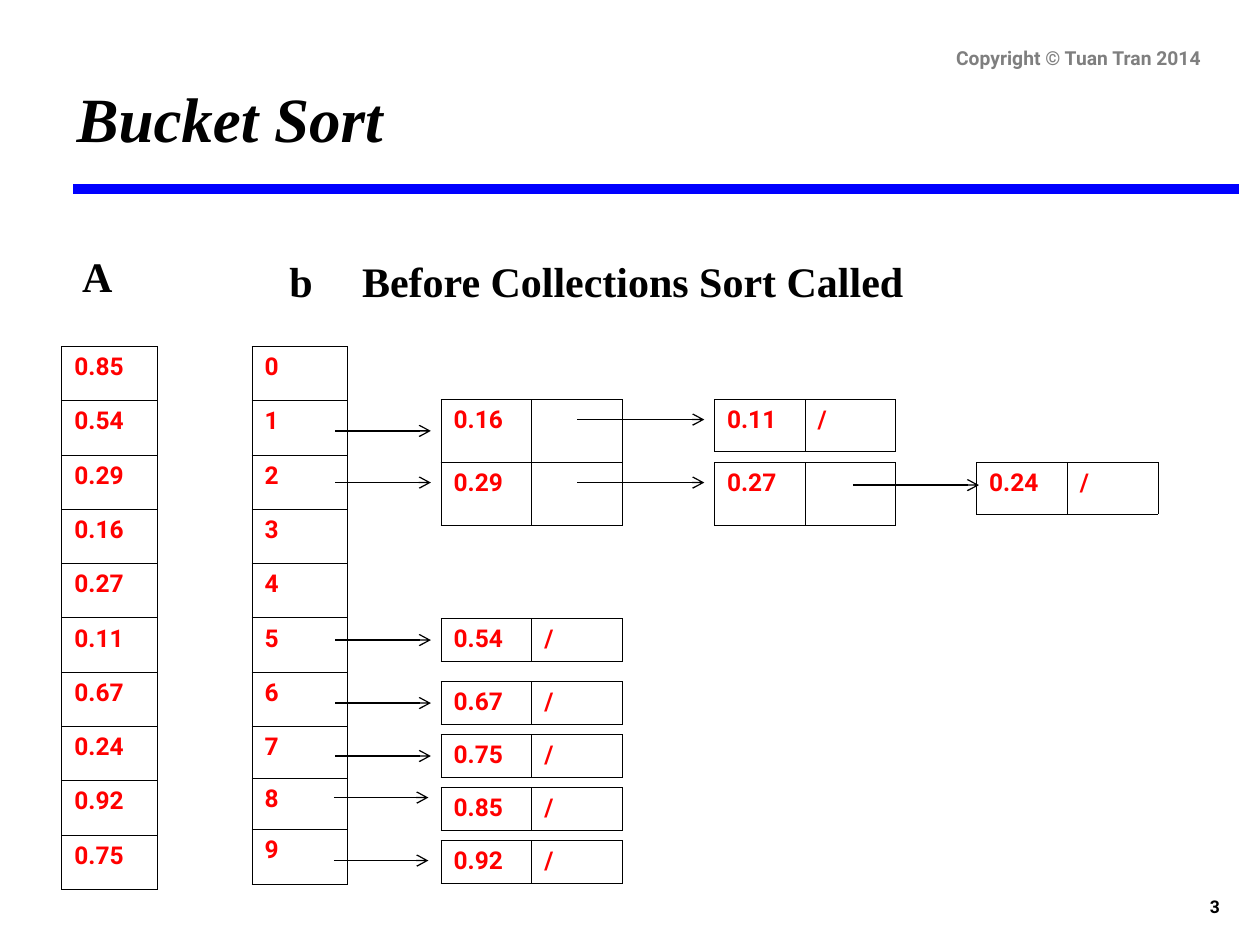
"""Build the bucket sort slide: array A, buckets b and the linked lists before sorting."""
from lxml.etree import SubElement
from pptx import Presentation
from pptx.dml.color import RGBColor
from pptx.enum.shapes import MSO_CONNECTOR as CONNECTOR
from pptx.enum.text import MSO_ANCHOR as ANCHOR, PP_ALIGN as ALIGN
from pptx.oxml.ns import qn
from pptx.util import Inches, Pt

BLACK = RGBColor(0x00, 0x00, 0x00)
BLUE = RGBColor(0x00, 0x00, 0xFF)
GRAY = RGBColor(0x7F, 0x7F, 0x7F)
RED = RGBColor(0xFF, 0x00, 0x00)
SANS = "Roboto"
SERIF = "Times New Roman"

ARRAY = ["0.85", "0.54", "0.29", "0.16", "0.27", "0.11", "0.67", "0.24", "0.92", "0.75"]
ROW = 4.31 / len(ARRAY)
BUCKET_ROWS = [ROW] * 7 + [0.41, 0.41, ROW]
END = "/"
NODE_WIDTH = 0.72
LINKED_NODES = [
    (3.5, 3.17, 0.5, "0.16", ""),
    (5.67, 3.17, 0.41, "0.11", END),
    (3.5, 3.67, 0.5, "0.29", ""),
    (5.67, 3.67, 0.5, "0.27", ""),
    (7.75, 3.67, 0.41, "0.24", END),
]
SINGLE_NODES = [(4.91, "0.54"), (5.41, "0.67"), (5.83, "0.75"), (6.25, "0.85"), (6.67, "0.92")]
ARROWS = [
    (2.66, 3.42, 3.42),
    (4.58, 5.59, 3.33),
    (2.66, 3.42, 3.83),
    (4.58, 5.59, 3.83),
    (6.77, 7.77, 3.85),
    (2.66, 3.42, 5.08),
    (2.66, 3.42, 5.58),
    (2.66, 3.42, 6),
    (2.65, 3.4, 6.33),
    (2.65, 3.4, 6.83),
]


def write(tf, text, size=14, font=SANS, color=RED, italic=False, align=ALIGN.LEFT):
    """Write one bold paragraph into a text frame."""
    p = tf.paragraphs[0]
    p.alignment = align
    r = p.add_run()
    r.text = text
    r.font.size = Pt(size)
    r.font.name = font
    r.font.bold = True
    r.font.italic = italic
    r.font.color.rgb = color


def add_text(s, x, y, w, h, text, anchor=ANCHOR.TOP, wrap=True, **fmt):
    """Add a text box."""
    tf = s.shapes.add_textbox(Inches(x), Inches(y), Inches(w), Inches(h)).text_frame
    tf.word_wrap = wrap
    tf.vertical_anchor = anchor
    write(tf, text, **fmt)


def add_borders(cell):
    """Draw a thin black border on all sides of a cell."""
    tc_pr = cell._tc.get_or_add_tcPr()
    for side in ("a:lnL", "a:lnR", "a:lnT", "a:lnB"):
        ln = SubElement(tc_pr, qn(side), w=str(Pt(0.45)))
        fill = SubElement(ln, qn("a:solidFill"))
        SubElement(fill, qn("a:srgbClr"), val=str(BLACK))


def add_grid(s, x, y, col_width, heights, rows):
    """Add a bordered, unfilled table with equal columns."""
    cols = len(rows[0])
    table = s.shapes.add_table(
        len(rows), cols, Inches(x), Inches(y), Inches(col_width * cols), Inches(sum(heights))
    ).table
    table.first_row = table.horz_banding = False
    for row, height, values in zip(table.rows, heights, rows):
        row.height = Inches(height)
        for cell, value in zip(row.cells, values):
            add_borders(cell)
            cell.fill.background()
            if value:
                write(cell.text_frame, value)


def add_line(s, x1, x2, y, color=BLACK, width=0.75, arrow=True):
    """Add a horizontal line, with an arrowhead at its right end if asked."""
    line = s.shapes.add_connector(CONNECTOR.STRAIGHT, Inches(x1), Inches(y), Inches(x2), Inches(y))
    line.line.color.rgb = color
    line.line.width = Pt(width)
    if arrow:
        SubElement(line.line._get_or_add_ln(), qn("a:tailEnd"), type="arrow")
    SubElement(line._element.spPr, qn("a:effectLst"))


def main():
    """Build and save the slide."""
    prs = Presentation()
    prs.slide_width, prs.slide_height = Inches(10), Inches(7.5)
    s = prs.slides.add_slide(prs.slide_layouts[6])

    small = dict(anchor=ANCHOR.BOTTOM, align=ALIGN.RIGHT)
    heading = dict(size=24, font=SERIF, color=BLACK, align=ALIGN.RIGHT)
    add_text(s, 7.7, 6.83, 2.08, 0.5, "3", size=10, color=BLACK, **small)
    add_text(s, 0.51, 0.58, 2.63, 1.3, "Bucket Sort", wrap=False,
             size=36, font=SERIF, color=BLACK, italic=True)
    add_line(s, 0.58, 9.83, 1.5, color=BLUE, width=6, arrow=False)
    add_text(s, 6.46, 0.33, 3.17, 0.27, "Copyright © Tuan Tran 2014", size=11, color=GRAY, **small)

    add_grid(s, 0.49, 2.75, 0.76, [ROW] * len(ARRAY), [[value] for value in ARRAY])
    add_text(s, 0.49, 1.94, 0.5, 0.5, "A", **heading)
    add_text(s, 2.08, 1.98, 5.19, 0.5, "Before Collections Sort Called", **heading)
    add_grid(s, 2, 2.75, 0.76, BUCKET_ROWS, [[str(i)] for i in range(len(BUCKET_ROWS))])
    add_text(s, 2.08, 1.98, 0.5, 0.5, "b", **heading)

    for x, y, height, value, link in LINKED_NODES:
        add_grid(s, x, y, NODE_WIDTH, [height], [[value, link]])
    for y, value in SINGLE_NODES:
        add_grid(s, 3.5, y, NODE_WIDTH, [0.34], [[value, END]])
    for x1, x2, y in ARROWS:
        add_line(s, x1, x2, y)

    prs.save("out.pptx")


if __name__ == "__main__":
    main()
